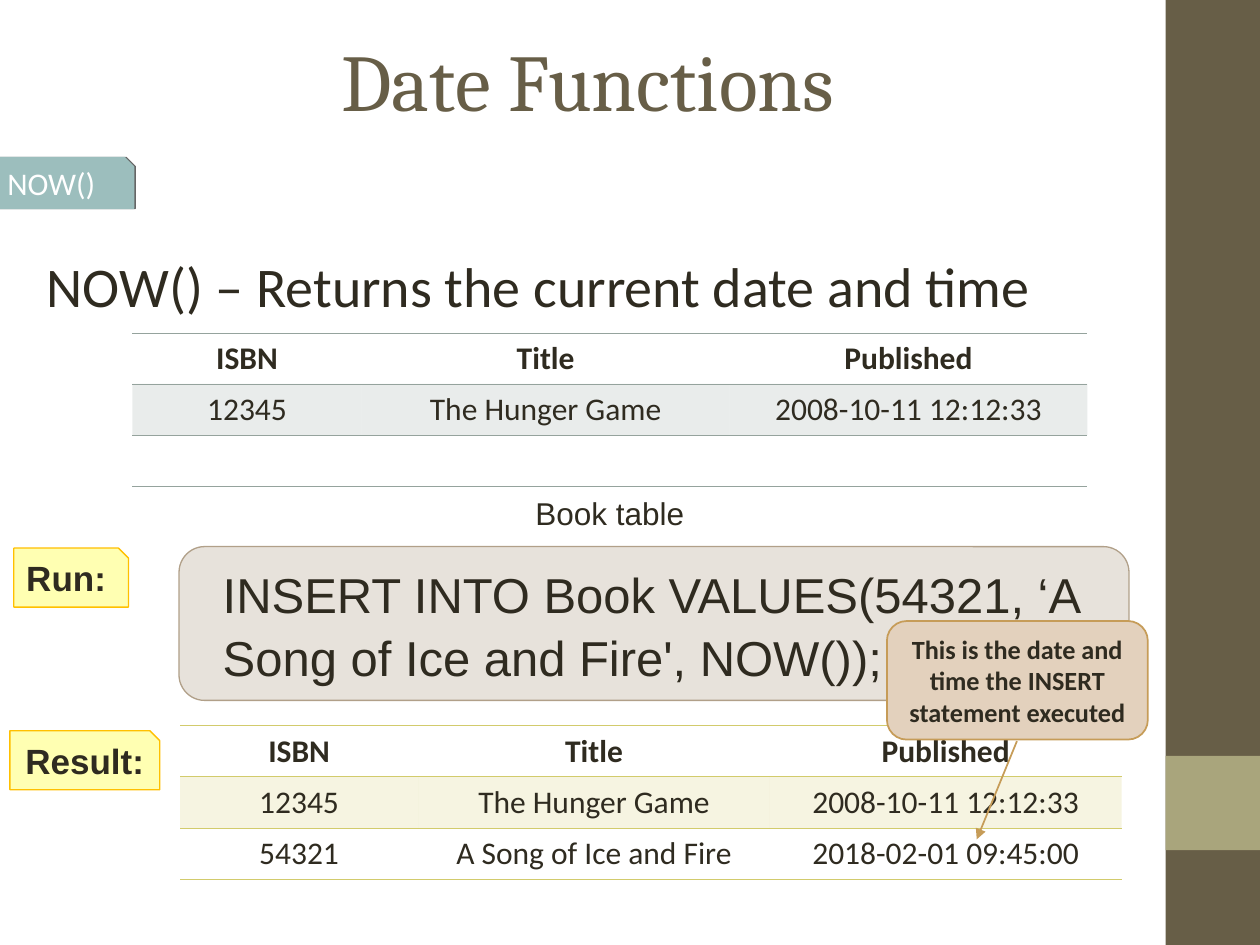
import pptx
import pptx.util
import pptx.dml.color
import pptx.enum.shapes
import pptx.enum.text
import pptx.oxml
import pptx.oxml.ns

Cm = pptx.util.Cm
Pt = pptx.util.Pt
RGB = pptx.dml.color.RGBColor
Align = pptx.enum.text.PP_ALIGN
Anchor = pptx.enum.text.MSO_ANCHOR
Kind = pptx.enum.shapes.MSO_SHAPE
qn = pptx.oxml.ns.qn

BROWN = RGB(0x67, 0x5E, 0x47)
OLIVE = RGB(0xA9, 0xA5, 0x7C)
TEAL = RGB(0x9C, 0xBE, 0xBD)
INK = RGB(0x2F, 0x2B, 0x20)
WHITE = RGB(0xFF, 0xFF, 0xFF)
TAUPE = RGB(0xB1, 0xA0, 0x89)
STRAW = RGB(0xD2, 0xCB, 0x6C)
SAGE = RGB(0x95, 0xA3, 0x9D)
LEMON = RGB(0xFF, 0xFF, 0x00)
AMBER = RGB(0xFF, 0xC0, 0x00)
SAND = RGB(0xE3, 0xD1, 0xBD)
GOLD = RGB(0xC6, 0x9C, 0x58)

NS = 'xmlns:a="http://schemas.openxmlformats.org/drawingml/2006/main"'
PLAIN = "{2D5ABB26-0587-4C30-8999-92F81FD0307C}"
HEAD = ["ISBN", "Title", "Published"]
GAME = ["12345", "The Hunger Game", "2008-10-11 12:12:33"]
SONG = ["54321", "A Song of Ice and Fire", "2018-02-01 09:45:00"]


def node(text):
    return pptx.oxml.parse_xml(text.replace(" ", f" {NS} ", 1))


def apply(item, form):
    for name, value in form.items():
        setattr(item, name, value)


def place(shape, *box):
    apply(shape, dict(zip(("left", "top", "width", "height"), map(Cm, box))))


def write(frame, text, size, face="Calibri", color=INK, bold=False,
          align=Align.LEFT, anchor=Anchor.MIDDLE, inset=0.25, lead=1.0):
    apply(frame, {"word_wrap": True, "vertical_anchor": anchor,
                  "margin_left": Cm(inset), "margin_right": Cm(0.25),
                  "margin_top": Cm(0.13), "margin_bottom": Cm(0.13)})
    para = frame.paragraphs[0]
    apply(para, {"alignment": align, "line_spacing": lead,
                 "space_before": Pt(0)})
    run = para.add_run()
    run.text = text
    apply(run.font, {"size": Pt(size), "name": face, "bold": bold})
    run.font.color.rgb = color


def paint(item, color, alpha=None):
    item.fill.solid()
    item.fill.fore_color.rgb = color
    if alpha:
        tone = next(item.fill._xPr.iter(qn("a:srgbClr")))
        tone.append(node(f'<a:alpha val="{alpha * 1000}"/>'))


def dress(shape, fill, line=None, width=1, alpha=None):
    shape.shadow.inherit = False
    paint(shape, fill, alpha)
    if line is None:
        shape.line.fill.background()
    else:
        shape.line.color.rgb = line
        shape.line.width = Pt(width)


def block(shapes, kind, box, *look):
    shape = shapes.add_shape(kind, *map(Cm, box))
    dress(shape, *look)
    return shape


def label(shapes, box, *look, snip=0.2):
    left, top, wide, high = map(Cm, box)
    cut, right, base = Cm(snip), left + wide, top + high
    pen = shapes.build_freeform(left, top)
    pen.add_line_segments([(right - cut, top), (right, top + cut),
                           (right, base), (left, base)])
    shape = pen.convert_to_shape()
    dress(shape, *look)
    return shape


def shade(shape):
    cast = shape._element.spPr.find(qn("a:effectLst"))
    cast.append(node('<a:outerShdw blurRad="0" dist="12700" dir="0">'
                     '<a:srgbClr val="000000"><a:alpha val="60000"/>'
                     '</a:srgbClr></a:outerShdw>'))


def edge(cell, side, color):
    cell._tc.get_or_add_tcPr().insert(0, node(
        f'<a:{side} w="5715"><a:solidFill><a:srgbClr val="{color}"/>'
        f'</a:solidFill></a:{side}>'))


def grid(shapes, left, top, wides, high, rows, color):
    frame = shapes.add_table(len(rows), len(wides), Cm(left), Cm(top),
                             Cm(sum(wides)), Cm(high * len(rows)))
    table = frame.table
    apply(table, {"first_row": False, "horz_banding": False})
    table._tbl.tblPr.find(qn("a:tableStyleId")).text = PLAIN
    for col, wide in zip(table.columns, wides):
        col.width = Cm(wide)
    for r, row in enumerate(rows):
        table.rows[r].height = Cm(high)
        for c, text in enumerate(row):
            cell = table.cell(r, c)
            if r == 1:
                paint(cell, color, 20)
            else:
                cell.fill.background()
            edge(cell, "lnB" if r == 2 else "lnT", color)
            if text:
                para = cell.text_frame.paragraphs[0]
                para.alignment = Align.CENTER
                run = para.add_run()
                run.text = text
                apply(run.font, {"size": Pt(18), "name": "Calibri",
                                 "bold": r == 0})
                run.font.color.rgb = INK


def arrow(shapes, start, end, color):
    line = shapes.add_connector(pptx.enum.shapes.MSO_CONNECTOR.STRAIGHT,
                                *map(Cm, start + end))
    line.line.color.rgb = color
    line.line.width = Pt(1)
    line.line._get_or_add_ln().append(node('<a:tailEnd type="triangle"/>'))
    line._element.spPr.append(node('<a:effectLst />'))


def main():
    deck = pptx.Presentation()
    apply(deck, {"slide_width": Cm(25.4), "slide_height": Cm(19.05)})
    slide = deck.slides.add_slide(deck.slide_layouts[1])
    shapes = slide.shapes
    block(shapes, Kind.RECTANGLE, (23.5, 0, 1.9, 19.05), BROWN)
    block(shapes, Kind.RECTANGLE, (23.5, 15.24, 1.9, 1.9), OLIVE)

    title, body = slide.placeholders
    place(title, 1.27, 0, 21.16, 3.18)
    write(title.text_frame, "Date Functions", 46, "Cambria", BROWN,
          align=Align.CENTER)
    place(body, 0.69, 4.93, 24.05, 3)
    props = body.text_frame.paragraphs[0]._p.get_or_add_pPr()
    apply(props, {"marL": 0, "indent": 0})
    props.append(node('<a:buNone />'))
    write(body.text_frame, "NOW() – Returns the current date and time", 32,
          anchor=Anchor.TOP)

    name = label(shapes, (-0.1, 3.18, 2.79, 1.02), TEAL, TEAL, snip=0.18)
    shade(name)
    write(name.text_frame, "NOW()", 18, color=WHITE)

    code = block(shapes, Kind.ROUNDED_RECTANGLE, (3.61, 11.02, 19.15, 3.1),
                 TAUPE, TAUPE, 0.75, 30)
    write(code.text_frame,
          "INSERT INTO Book VALUES(54321, ‘A Song of Ice and Fire', NOW());",
          28, "Arial", inset=0.73, lead=1.07)

    grid(shapes, 3.63, 14.63, (4.8, 7.09, 7.09), 1.02,
         [HEAD, GAME, SONG], STRAW)
    grid(shapes, 2.67, 6.71, (4.62, 7.42, 7.21), 1.03,
         [HEAD, GAME, [""] * 3], SAGE)
    note = shapes.add_textbox(*map(Cm, (9.5, 9.83, 5.59, 1.02)))
    write(note.text_frame, "Book table", 18, "Arial", align=Align.CENTER,
          anchor=Anchor.TOP)

    for text, box, align in (
            ("Result:", (0.2, 14.73, 3.02, 1.19), Align.CENTER),
            ("Run:", (0.28, 11.05, 2.31, 1.19), Align.LEFT)):
        tag = label(shapes, box, LEMON, AMBER, 0.75, 30)
        write(tag.text_frame, text, 20, "Arial", bold=True, align=align)

    group = shapes.add_group_shape().shapes
    hint = block(group, Kind.ROUNDED_RECTANGLE, (17.88, 12.52, 5.26, 2.39),
                 SAND, GOLD)
    write(hint.text_frame,
          "This is the date and time the INSERT statement executed", 15,
          bold=True, align=Align.CENTER, anchor=Anchor.TOP)
    arrow(group, (20.5, 14.94), (19.69, 16.92), GOLD)
    deck.save("out.pptx")


if __name__ == "__main__":
    main()
